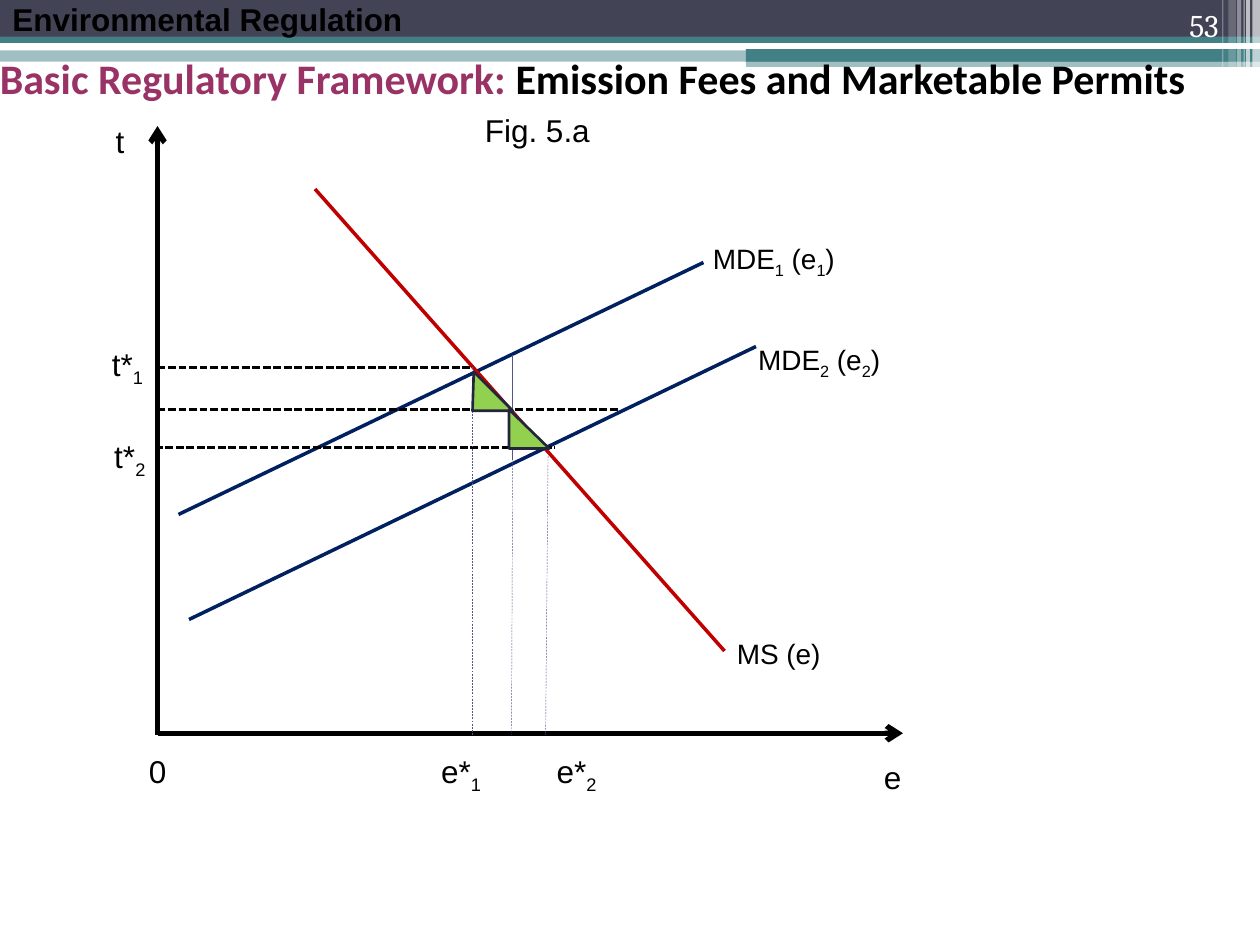
"""Build a slide on emission fees and marketable permits with its marginal curves."""
from lxml.etree import SubElement
from pptx import Presentation
from pptx.dml.color import RGBColor
from pptx.enum.dml import MSO_LINE_DASH_STYLE as Dash
from pptx.enum.shapes import MSO_CONNECTOR as Connector, MSO_SHAPE as Shape
from pptx.enum.text import MSO_ANCHOR as Anchor, PP_ALIGN as Align
from pptx.oxml.ns import qn
from pptx.util import Pt

BLACK = RGBColor(0x00, 0x00, 0x00)
WHITE = RGBColor(0xFF, 0xFF, 0xFF)
TEAL = RGBColor(0x43, 0x80, 0x86)
SLATE = RGBColor(0x42, 0x44, 0x56)
NAVY = RGBColor(0x00, 0x20, 0x60)
RED = RGBColor(0xC0, 0x00, 0x00)
VIOLET = RGBColor(0x53, 0x54, 0x8A)
PLUM = RGBColor(0x99, 0x33, 0x66)
GREEN = RGBColor(0x92, 0xD0, 0x50)
INK = RGBColor(0x24, 0x25, 0x3C)

WIDTH, HEIGHT = 720, 540
SPLIT = 426.2

BANDS = [
    (0, 28.8, WIDTH, 6.5, TEAL, 50),
    (0, 0, WIDTH, 24.5, SLATE, 100),
    (0, 20.9, WIDTH, 3.6, TEAL, 100),
    (SPLIT, 28.1, WIDTH - SPLIT, 7.2, TEAL, 100),
    (SPLIT, 34.6, WIDTH - SPLIT, 3.6, TEAL, 50),
]
STRIPES = [
    (715.7, 4.3, 49, 65),
    (712.1, 2.2, 49, 65),
    (710.6, 0.7, 49, 60),
    (707, 2.2, 49, 40),
    (702, 4.3, 46, 20),
    (698.4, 0.7, 46, 30),
]

AXES = [(90, 420, 90, 72), (90, 419, 516, 419)]
CURVES = [
    (102, 294, 402, 150, NAVY),
    (108, 354, 432, 198, NAVY),
    (180, 108, 414, 372, RED),
]
FEE_LEVELS = [(90, 210, 270), (90, 234, 354), (88.5, 255.6, 317)]
EMISSION_DROPS = [
    (270, 210, 270, 420),
    (293, 258.5, 292.3, 420),
    (313.2, 257, 311.8, 420),
]
LOSS_TRIANGLES = [(270, 212.4, 0.033), (290.9, 234, 0)]

CURVE_LABELS = [
    ("MDE_1 (e_1)", 400.3, 134.6),
    ("MDE_2 (e_2)", 426.2, 192.2),
    ("MS (e)", 414, 360),
]
AXIS_LABELS = [
    ("t*_1", 46.8, 193.7, 42, Align.RIGHT),
    ("t*_2", 48.2, 246.2, 42, Align.RIGHT),
    ("e*_1", 240, 426.2, 42, Align.RIGHT),
    ("e*_2", 306, 426.2, 42, Align.RIGHT),
    ("0", 78, 426.2, 30, Align.LEFT),
    ("e", 498, 429.8, 30, Align.LEFT),
    ("t", 48.2, 66.2, 30, Align.RIGHT),
    ("Fig. 5.a", 270, 59.8, 108, Align.LEFT),
]
TITLE = [
    ("Basic Regulatory Framework: ", PLUM),
    ("Emission Fees and Marketable Permits", BLACK),
]


def add_filled(slide, kind, left, top, width, height, color, opacity=100):
    shape = slide.shapes.add_shape(kind, Pt(left), Pt(top), Pt(width), Pt(height))
    shape.shadow.inherit = False
    shape.fill.solid()
    shape.fill.fore_color.rgb = color
    shape.line.fill.background()
    if opacity < 100:
        for tint in shape.element.spPr.iter(qn("a:srgbClr")):
            SubElement(tint, qn("a:alpha"), val=str(opacity * 1000))
    return shape


def add_line(slide, x1, y1, x2, y2, color, weight, dash=None, arrow=False):
    line = slide.shapes.add_connector(Connector.STRAIGHT, Pt(x1), Pt(y1), Pt(x2), Pt(y2))
    line.line.color.rgb = color
    line.line.width = Pt(weight)
    if dash:
        line.line.dash_style = dash
    if arrow:
        SubElement(line.line._get_or_add_ln(), qn("a:tailEnd"), type="arrow")
    SubElement(line.element.spPr, qn("a:effectLst"))


def add_text(slide, pieces, left, top, width, height, size, font="Arial",
             align=Align.LEFT, anchor=Anchor.TOP, bold=False):
    box = slide.shapes.add_textbox(Pt(left), Pt(top), Pt(width), Pt(height))
    box.text_frame.word_wrap = True
    box.text_frame.vertical_anchor = anchor
    paragraph = box.text_frame.paragraphs[0]
    paragraph.alignment = align
    for text, color in pieces:
        start, *rest = text.split("_")
        parts = [(start, False)]
        for part in rest:
            parts += [(part[0], True), (part[1:], False)]
        for words, subscript in parts:
            if not words:
                continue
            run = paragraph.add_run()
            run.text = words
            run.font.name = font
            run.font.size = Pt(size)
            run.font.bold = bold
            run.font.color.rgb = color
            if subscript:
                run.font._element.set("baseline", "-25000")


def add_header(slide):
    for band in BANDS:
        add_filled(slide, Shape.RECTANGLE, *band)
    for left, width, height, opacity in STRIPES:
        add_filled(slide, Shape.RECTANGLE, left, 0, width, height, WHITE, opacity)
    add_text(slide, [("Environmental Regulation", BLACK)], 0, -3.6, 252, 29, 18, bold=True)
    add_text(slide, [("53", WHITE)], 643.7, 0, 59.8, 28.8, 18, "Cambria",
             Align.RIGHT, Anchor.BOTTOM)


def add_graph(slide):
    for axis in AXES:
        add_line(slide, *axis, BLACK, 3, arrow=True)
    for curve in CURVES:
        add_line(slide, *curve, 2)
    for text, left, top in CURVE_LABELS:
        add_text(slide, [(text, BLACK)], left, top, 102, 26.6, 16)
    add_line(slide, 293, 203, 293, 262.8, VIOLET, 0.75)
    for left, level, right in FEE_LEVELS:
        add_line(slide, left, level, right, level, BLACK, 1.5, Dash.SQUARE_DOT)
    for drop in EMISSION_DROPS:
        add_line(slide, *drop, VIOLET, 0.25, Dash.DASH)
    for text, left, top, width, align in AXIS_LABELS:
        add_text(slide, [(text, BLACK)], left, top, width, 29, 18, align=align)


def add_losses(slide):
    for left, top, apex in LOSS_TRIANGLES:
        triangle = add_filled(slide, Shape.ISOSCELES_TRIANGLE, left, top, 23, 22.3, GREEN)
        triangle.adjustments[0] = apex
        triangle.line.color.rgb = INK
        triangle.line.width = Pt(1.5)


def main():
    presentation = Presentation()
    presentation.slide_width, presentation.slide_height = Pt(WIDTH), Pt(HEIGHT)
    slide = presentation.slides.add_slide(presentation.slide_layouts[6])
    add_header(slide)
    add_graph(slide)
    add_text(slide, TITLE, -7.2, 17.3, WIDTH, 54, 24, "Calibri",
             anchor=Anchor.MIDDLE, bold=True)
    add_losses(slide)
    presentation.save("out.pptx")


if __name__ == "__main__":
    main()
